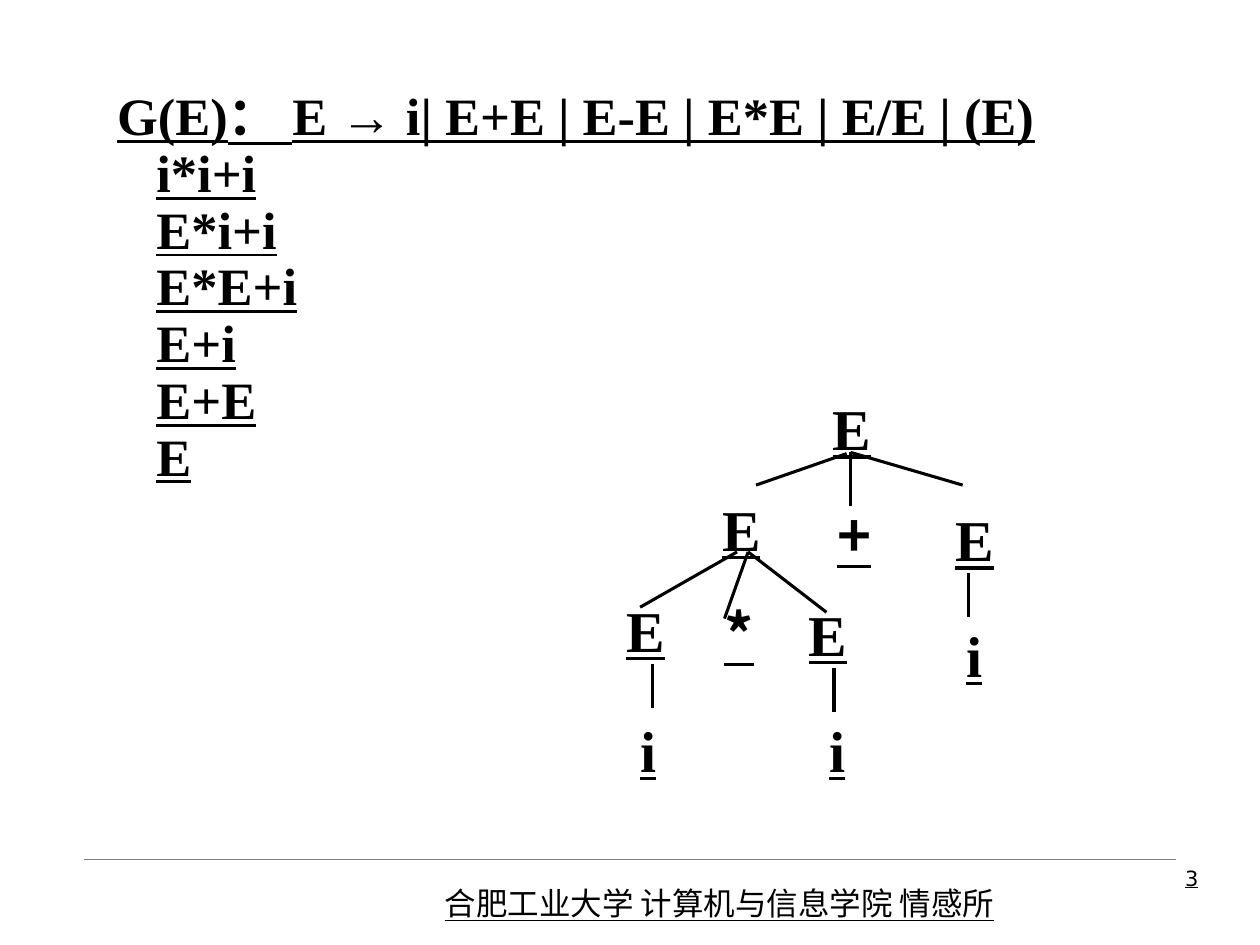
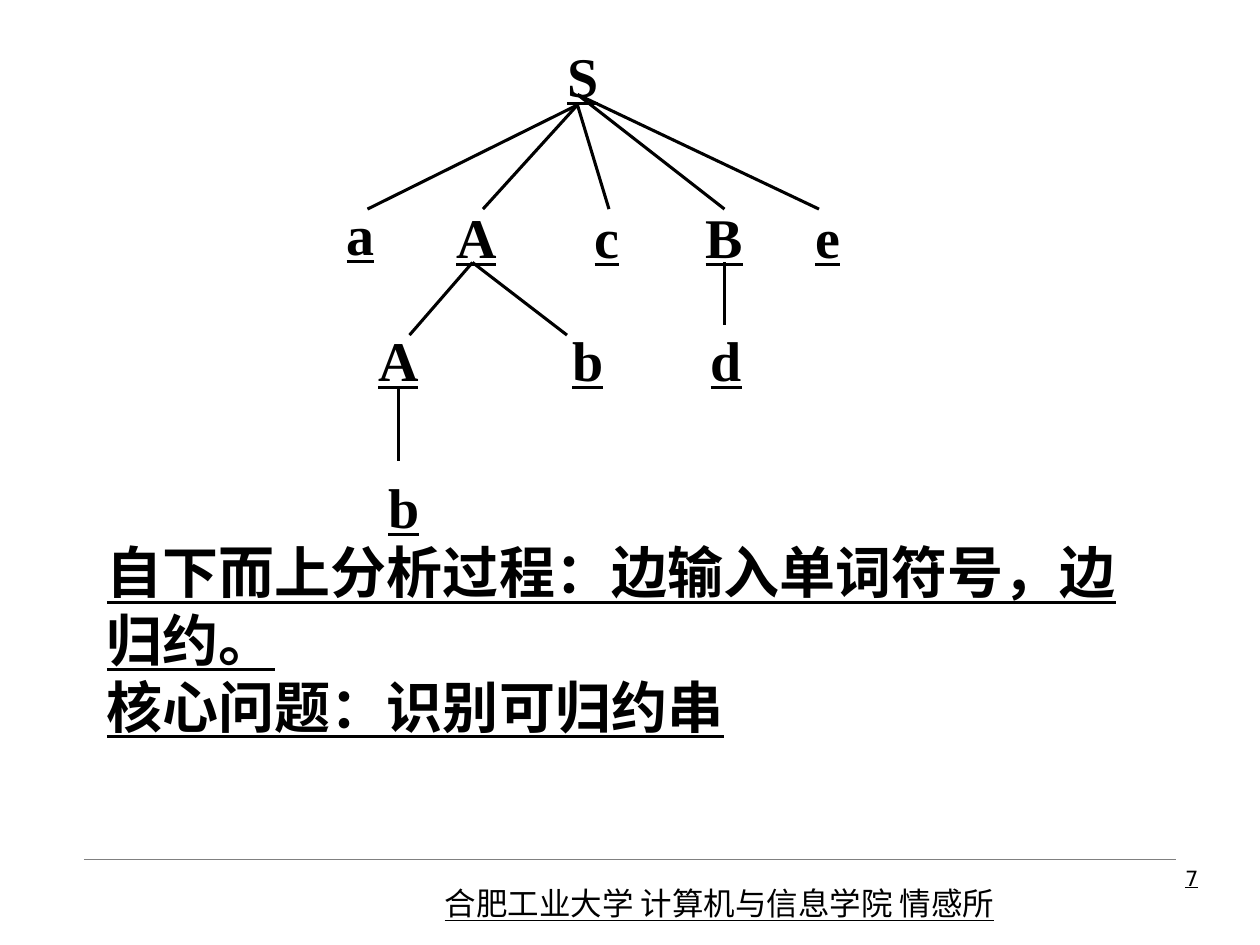
from dataclasses import dataclass

from lxml import etree
from pptx import Presentation
from pptx.dml.color import RGBColor
from pptx.enum.shapes import MSO_CONNECTOR
from pptx.enum.text import MSO_ANCHOR, PP_ALIGN
from pptx.oxml.ns import qn
from pptx.util import Pt

STRAIGHT = MSO_CONNECTOR.STRAIGHT
TOP = MSO_ANCHOR.TOP
LEFT, CENTER, RIGHT = PP_ALIGN.LEFT, PP_ALIGN.CENTER, PP_ALIGN.RIGHT


@dataclass(frozen=True)
class Theme:
    ink: RGBColor = RGBColor(0, 0, 0)
    rule: RGBColor = RGBColor(0x80, 0x80, 0x80)
    serif: str = "Times New Roman"
    arrow: str = "Arial"
    chinese: str = "Noto Sans CJK SC"
    number: str = "DejaVu Sans"
    grammar_size: float = 30
    body_size: float = 32
    footer_size: float = 18
    number_size: float = 12
    branch_width: float = 1.75
    rule_width: float = 0.25


# Width of each node label, as a share of its type size
LABEL_WIDTH = {"E": 0.67, "i": 0.28, "+": 0.61, "*": 0.55, "S": 0.56, "A": 0.72,
               "B": 0.67, "a": 0.5, "b": 0.56, "c": 0.44, "d": 0.56, "e": 0.44}
LABEL_HEIGHT = 1.2
OPERATORS = "+*"


class SlideWriter:
    def __init__(self, deck, theme):
        self.deck = deck
        self.theme = theme
        self.page = None

    def new_page(self, number):
        self.page = self.deck.slides.add_slide(self.deck.slide_layouts[6])
        theme = self.theme
        self.line((48, 491), (672, 491), theme.rule, theme.rule_width)
        self.text(["合肥工业大学 计算机与信息学院 情感所"], (247, 501.8, 345.6, 28.8),
                  theme.chinese, theme.footer_size, bold=False)
        self.text([str(number)], (535.7, 491, 156.2, 37.4),
                  theme.number, theme.number_size, bold=False, align=RIGHT)

    def line(self, start, end, color, width):
        connector = self.page.shapes.add_connector(
            STRAIGHT, *(Pt(value) for value in (*start, *end)))
        connector.line.color.rgb = color
        connector.line.width = Pt(width)
        etree.SubElement(connector._element.spPr, qn("a:effectLst"))

    def text(self, lines, area, font, size, bold=True, align=LEFT,
             spacing=None, tab=None, inset=True, wrap=True):
        """Each line is a string or a list of (text, font) spans."""
        box = self.page.shapes.add_textbox(*(Pt(value) for value in area))
        frame = box.text_frame
        frame.word_wrap = wrap
        frame.vertical_anchor = TOP
        if not inset:
            frame.margin_left = frame.margin_right = 0
            frame.margin_top = frame.margin_bottom = 0
        for index, content in enumerate(lines):
            para = frame.paragraphs[0] if index == 0 else frame.add_paragraph()
            para.alignment = align
            if spacing:
                para.line_spacing = spacing
            if tab:
                self.tab_stop(para, tab)
            self.style(para, font, size, bold)
            spans = [(content, font)] if isinstance(content, str) else content
            for words, face in spans:
                span = para.add_run()
                span.text = words
                if face != font:
                    span.font.name = face

    def tab_stop(self, para, position):
        stops = etree.SubElement(para._p.get_or_add_pPr(), qn("a:tabLst"))
        etree.SubElement(stops, qn("a:tab"), pos=str(Pt(position)), algn="l")

    def style(self, para, font, size, bold):
        para.font.size = Pt(size)
        para.font.bold = bold
        para.font.underline = True
        para.font.color.rgb = self.theme.ink
        para.font.name = font
        if font == self.theme.chinese:
            defaults = para._p.pPr.find(qn("a:defRPr"))
            etree.SubElement(defaults, qn("a:ea"), typeface=font)

    def tree(self, nodes, branches, size):
        for start, ends in branches:
            for end in ends:
                self.line(start, end, self.theme.ink, self.theme.branch_width)
        for label, left, top in nodes:
            font = self.theme.chinese if label in OPERATORS else self.theme.serif
            area = (left, top, LABEL_WIDTH[label] * size, LABEL_HEIGHT * size)
            self.text([label], area, font, size, align=CENTER, inset=False, wrap=False)


def add_expression_page(writer):
    theme = writer.theme
    writer.new_page(3)

    # Grammar and reduction steps
    grammar = [("G(E)： E ", theme.serif), ("→", theme.arrow),
               (" i| E+E | E-E | E*E | E/E | (E)", theme.serif)]
    steps = ["i*i+i", "E*i+i", "E*E+i", "E+i", "E+E", "E"]
    writer.text([grammar] + ["\t" + step for step in steps],
                (59.8, 48.2, 606.2, 149.8), theme.serif, theme.grammar_size,
                spacing=0.9, tab=22.5)

    # Syntax tree of i*i+i
    nodes = [("E", 475.9, 224.6),
             ("E", 412.6, 282.2), ("+", 478.1, 285.8), ("E", 545.8, 288),
             ("E", 357.8, 339.8), ("*", 413.3, 342), ("E", 462.2, 342),
             ("i", 552.2, 354.2), ("i", 365.8, 408.2), ("i", 473.8, 408.2)]
    branches = [((483.8, 259.2), [(432, 277.2)]),
                ((486, 258.5), [(486, 289.4), (550.1, 277.2)]),
                ((421.2, 315.4), [(365.8, 347)]),
                ((427.5, 315.4), [(414, 353.5), (472.3, 349.9)]),
                ((553.7, 327.6), [(553.7, 352.8)]),
                ((373, 379.4), [(373, 404.6)]),
                ((476.6, 381.6), [(476.6, 406.8)])]
    writer.tree(nodes, branches, size=33)


def add_bottom_up_page(writer):
    theme = writer.theme
    writer.new_page(7)

    # Syntax tree of abbcde
    nodes = [("S", 324, 23.8),
             ("a", 198, 113.8), ("A", 260.6, 115.9), ("c", 339.8, 115.9),
             ("B", 403.2, 115.9), ("e", 465.8, 115.9),
             ("A", 216, 185.8), ("b", 326.9, 185.8), ("d", 406.1, 185.8),
             ("b", 221.8, 270)]
    branches = [((330, 60), [(x, 119.5) for x in (210, 276, 348)]),
                ((330, 54), [(x, 119.5) for x in (414, 468)]),
                ((270, 150), [(x, 191.5) for x in (234, 324)]),
                ((414, 150), [(414, 185.8)]),
                ((227.5, 221.8), [(227.5, 263.5)])]
    writer.tree(nodes, branches, size=32)

    # Summary
    writer.text(["自下而上分析过程：边输入单词符号，边归约。", "核心问题：识别可归约串"],
                (54, 303.8, 612, 174), theme.chinese, theme.body_size)


def main():
    deck = Presentation()
    deck.slide_width, deck.slide_height = Pt(720), Pt(540)
    writer = SlideWriter(deck, Theme())
    add_expression_page(writer)
    add_bottom_up_page(writer)
    deck.save("out.pptx")


if __name__ == "__main__":
    main()
